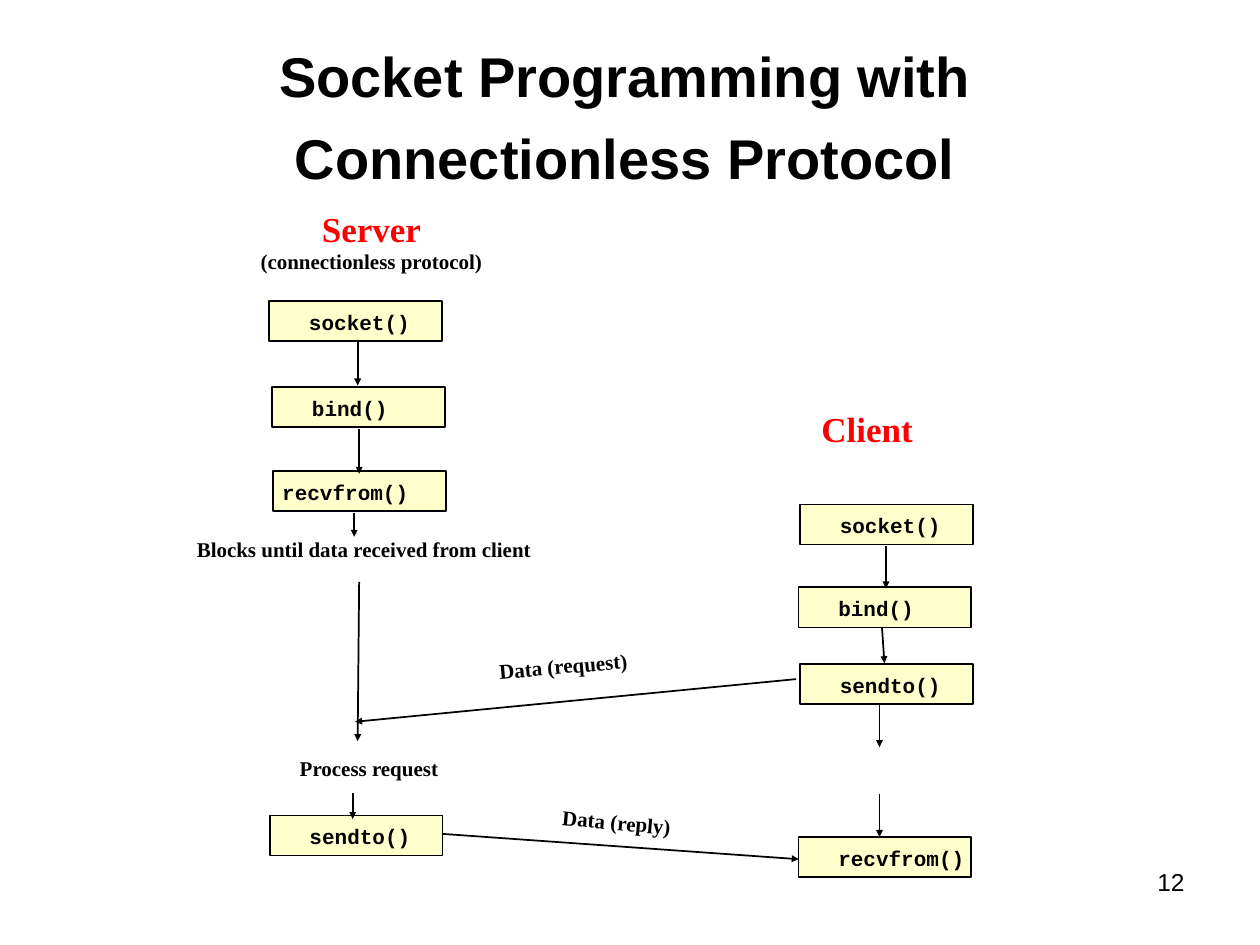
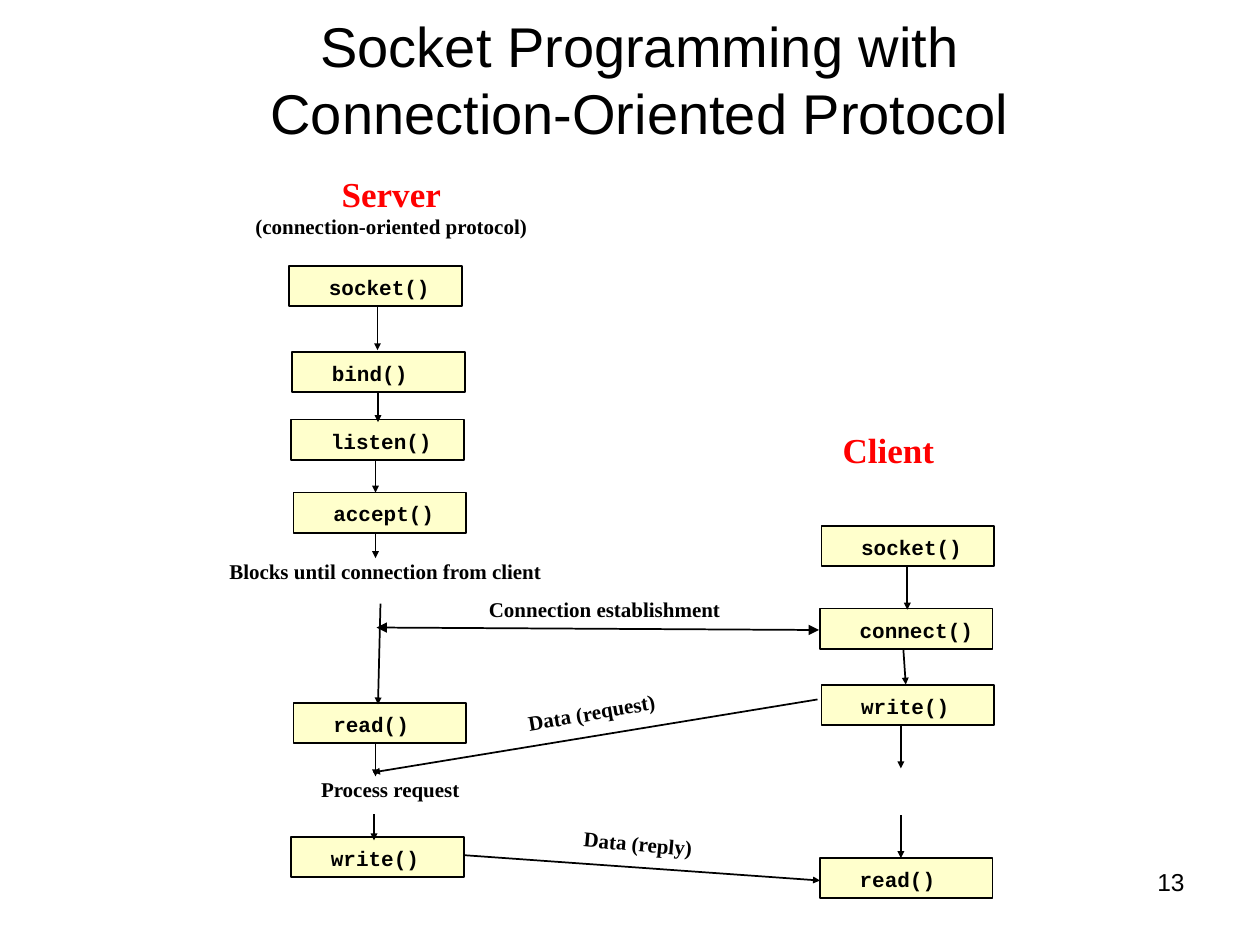
import dataclasses
import typing

import pptx
import pptx.dml.color
import pptx.enum.shapes
import pptx.enum.text
import pptx.oxml.ns
import pptx.slide
import pptx.util
from lxml import etree

Cm = pptx.util.Cm
Pt = pptx.util.Pt
PP_ALIGN = pptx.enum.text.PP_ALIGN
ANCHOR = pptx.enum.text.MSO_ANCHOR
AUTO_SIZE = pptx.enum.text.MSO_AUTO_SIZE


# Theme
@dataclasses.dataclass(frozen=True)
class Theme:
    ink: str = "000000"
    accent: str = "FF0000"
    box_fill: str = "FFFFCC"
    sans: str = "Arial"
    serif: str = "Times New Roman"
    mono: str = "Courier New"
    title_size: int = 32
    heading_size: int = 20
    body_size: int = 12
    number_size: int = 14
    line_width: int = 1
    box_width: float = 3.48
    box_height: float = 0.81
    label_width: float = 9.96
    label_height: float = 0.51


THEME = Theme()


# Elements, all lengths in centimetres
@dataclasses.dataclass(frozen=True)
class Box:
    call: str
    x: float
    y: float
    indent: float = 0.8


@dataclasses.dataclass(frozen=True)
class Label:
    text: str
    x: float
    y: float
    angle: float = 0


@dataclasses.dataclass(frozen=True)
class Heading:
    text: str
    x: float
    y: float
    subtitle: str = ""


@dataclasses.dataclass(frozen=True)
class Arrow:
    x1: float
    y1: float
    x2: float
    y2: float
    both_ends: bool = False


Element = typing.Union[Box, Label, Heading, Arrow]


@dataclasses.dataclass(frozen=True)
class Title:
    text: str
    x: float
    y: float
    bold: bool
    spacing: float


# Helpers
def apply(obj: typing.Any, fmt: dict[str, typing.Any]) -> None:
    for name, value in fmt.items():
        setattr(obj, name, value)


def rgb(color: str) -> pptx.dml.color.RGBColor:
    return pptx.dml.color.RGBColor.from_string(color)


def write(p: typing.Any, text: str, font: str, size: int,
          bold: bool = True, color: str = THEME.ink) -> None:
    p.text = text
    apply(p.font, {"name": font, "size": Pt(size), "bold": bold})
    p.font.color.rgb = rgb(color)


def add_textbox(s: pptx.slide.Slide, x: float, y: float, w: float, h: float,
                **fmt: typing.Any) -> typing.Any:
    sp = s.shapes.add_textbox(Cm(x), Cm(y), Cm(w), Cm(h))
    apply(sp.text_frame, {"word_wrap": True, **fmt})
    return sp


def add_label_box(s: pptx.slide.Slide, x: float, y: float) -> typing.Any:
    return add_textbox(s, x, y, THEME.label_width, THEME.label_height,
                       auto_size=AUTO_SIZE.SHAPE_TO_FIT_TEXT)


# Drawing
def draw_box(s: pptx.slide.Slide, box: Box, dx: float, dy: float) -> None:
    sp = s.shapes.add_shape(pptx.enum.shapes.MSO_SHAPE.RECTANGLE,
                            Cm(box.x + dx), Cm(box.y + dy),
                            Cm(THEME.box_width), Cm(THEME.box_height))
    sp.shadow.inherit = False
    sp.fill.solid()
    sp.fill.fore_color.rgb = rgb(THEME.box_fill)
    sp.line.color.rgb = rgb(THEME.ink)
    sp.line.width = Pt(THEME.line_width)
    tf = sp.text_frame
    apply(tf, {"margin_left": Cm(box.indent), "margin_right": 0,
               "margin_top": Cm(0.17), "margin_bottom": 0,
               "vertical_anchor": ANCHOR.TOP, "word_wrap": True})
    p = tf.paragraphs[0]
    p.alignment = PP_ALIGN.LEFT
    write(p, box.call, THEME.mono, THEME.body_size)


def draw_label(s: pptx.slide.Slide, label: Label, dx: float, dy: float) -> None:
    sp = add_label_box(s, label.x + dx, label.y + dy)
    sp.rotation = label.angle
    p = sp.text_frame.paragraphs[0]
    apply(p, {"alignment": PP_ALIGN.CENTER, "line_spacing": 0.5})
    write(p, label.text, THEME.serif, THEME.body_size)


def draw_heading(s: pptx.slide.Slide, head: Heading, dx: float, dy: float) -> None:
    tf = add_label_box(s, head.x + dx, head.y + dy).text_frame
    p = tf.paragraphs[0]
    apply(p, {"alignment": PP_ALIGN.CENTER, "line_spacing": 0.5})
    write(p, head.text, THEME.serif, THEME.heading_size, color=THEME.accent)
    if head.subtitle:
        p = tf.add_paragraph()
        apply(p, {"alignment": PP_ALIGN.CENTER, "line_spacing": 0.5,
                  "space_before": Pt(7.5)})
        write(p, head.subtitle, THEME.serif, THEME.body_size)


def draw_arrow(s: pptx.slide.Slide, arrow: Arrow, dx: float, dy: float) -> None:
    cn = s.shapes.add_connector(pptx.enum.shapes.MSO_CONNECTOR.STRAIGHT,
                                Cm(arrow.x1 + dx), Cm(arrow.y1 + dy),
                                Cm(arrow.x2 + dx), Cm(arrow.y2 + dy))
    cn.line.color.rgb = rgb(THEME.ink)
    cn.line.width = Pt(THEME.line_width)
    ln = cn.line._get_or_add_ln()
    size = "med" if arrow.both_ends else "sm"
    for end in ("headEnd", "tailEnd") if arrow.both_ends else ("tailEnd",):
        etree.SubElement(ln, pptx.oxml.ns.qn(f"a:{end}"),
                         type="triangle", w=size, len=size)
    etree.SubElement(cn._element.spPr, pptx.oxml.ns.qn("a:effectLst"))


DRAW: dict[type, typing.Callable[..., None]] = {
    Box: draw_box, Label: draw_label, Heading: draw_heading, Arrow: draw_arrow}


def draw(s: pptx.slide.Slide, elements: typing.Iterable[Element],
         dx: float = 0, dy: float = 0) -> None:
    for element in elements:
        DRAW[type(element)](s, element, dx, dy)


def add_slide(prs: typing.Any, title: Title, number: int) -> pptx.slide.Slide:
    s = prs.slides.add_slide(prs.slide_layouts[6])
    tf = add_textbox(s, title.x, title.y, 22.86, 3.18,
                     vertical_anchor=ANCHOR.MIDDLE).text_frame
    p = tf.paragraphs[0]
    apply(p, {"alignment": PP_ALIGN.CENTER, "line_spacing": Pt(title.spacing)})
    write(p, title.text, THEME.sans, THEME.title_size, title.bold)

    p = add_textbox(s, 18.21, 17.35, 5.92, 1.32).text_frame.paragraphs[0]
    p.alignment = PP_ALIGN.RIGHT
    write(p, str(number), THEME.sans, THEME.number_size, bold=False)
    return s


# Parts that both diagrams share
def server_start(protocol: str) -> list[Element]:
    return [
        Heading("Server", 2.51, 4.42, f"({protocol} protocol)"),
        Box("socket()", 5.43, 6.07),
        Box("bind()", 5.49, 7.8),
        Arrow(7.21, 6.86, 7.21, 7.77),
    ]


def exchange(event: str, reply_call: str,
             client_calls: tuple[str, str, str, str]) -> list[Element]:
    places = ((16.13, 10.17), (16.1, 11.84), (16.13, 13.38), (16.1, 16.87))
    return [
        Heading("Client", 12.5, 8.46),
        *(Box(call, x, y) for call, (x, y) in zip(client_calls, places)),
        Arrow(17.86, 11, 17.86, 11.86),
        Arrow(17.78, 12.65, 17.83, 13.37),
        Arrow(17.73, 14.2, 17.73, 15.06),
        Arrow(17.73, 16, 17.73, 16.87),
        Arrow(7.14, 10.34, 7.14, 10.82),
        Label(f"Blocks until {event} from client", 2.36, 10.92),
        Label("Process request", 2.46, 15.32),
        Box(reply_call, 5.44, 16.44),
        Arrow(7.11, 15.98, 7.11, 16.51),
        Arrow(8.92, 16.81, 16.1, 17.32),
        Label("Data (reply)", 7.44, 16.41, 5.2),
    ]


# Slides
def connectionless_slide(prs: typing.Any) -> None:
    s = add_slide(prs, Title("Socket Programming with\vConnectionless Protocol",
                             1.17, 0.61, True, 46.8), 12)
    draw(s, server_start("connectionless"))
    draw(s, exchange("data received", "sendto()",
                     ("socket()", "bind()", "sendto()", "recvfrom()")))
    draw(s, [
        Box("recvfrom()", 5.51, 9.5, indent=0.18),
        Arrow(7.24, 8.64, 7.24, 9.55),
        Arrow(7.24, 11.73, 7.21, 14.94),
        Arrow(16.05, 13.69, 7.16, 14.55),
        Label("Data (request)", 6.38, 13.26, 355.1),
    ])


def connection_oriented_slide(prs: typing.Any) -> None:
    s = add_slide(prs, Title("Socket Programming with\vConnection-Oriented Protocol",
                             1.47, 0, False, 38.4), 13)
    draw(s, server_start("connection-oriented"), 0.4, -0.71)
    draw(s, exchange("connection", "write()",
                     ("socket()", "connect()", "write()", "read()")), 0.43, 0.43)
    draw(s, [
        Box("listen()", 5.87, 8.46),
        Box("accept()", 5.92, 9.93),
        Box("read()", 5.92, 14.17),
        Arrow(7.62, 7.92, 7.62, 8.51),
        Arrow(7.57, 9.3, 7.57, 9.93),
        Arrow(7.67, 12.17, 7.62, 14.2),
        Arrow(7.57, 14.99, 7.57, 15.65),
        Arrow(16.51, 12.7, 7.59, 12.65, both_ends=True),
        Arrow(16.48, 14.1, 7.52, 15.57),
        Label("Connection establishment", 7.21, 12.12),
        Label("Data (request)", 6.96, 14.2, 350.2),
    ])


def main() -> None:
    prs = pptx.Presentation()
    apply(prs, {"slide_width": Cm(25.4), "slide_height": Cm(19.05)})
    connectionless_slide(prs)
    connection_oriented_slide(prs)
    prs.save("out.pptx")


if __name__ == "__main__":
    main()
